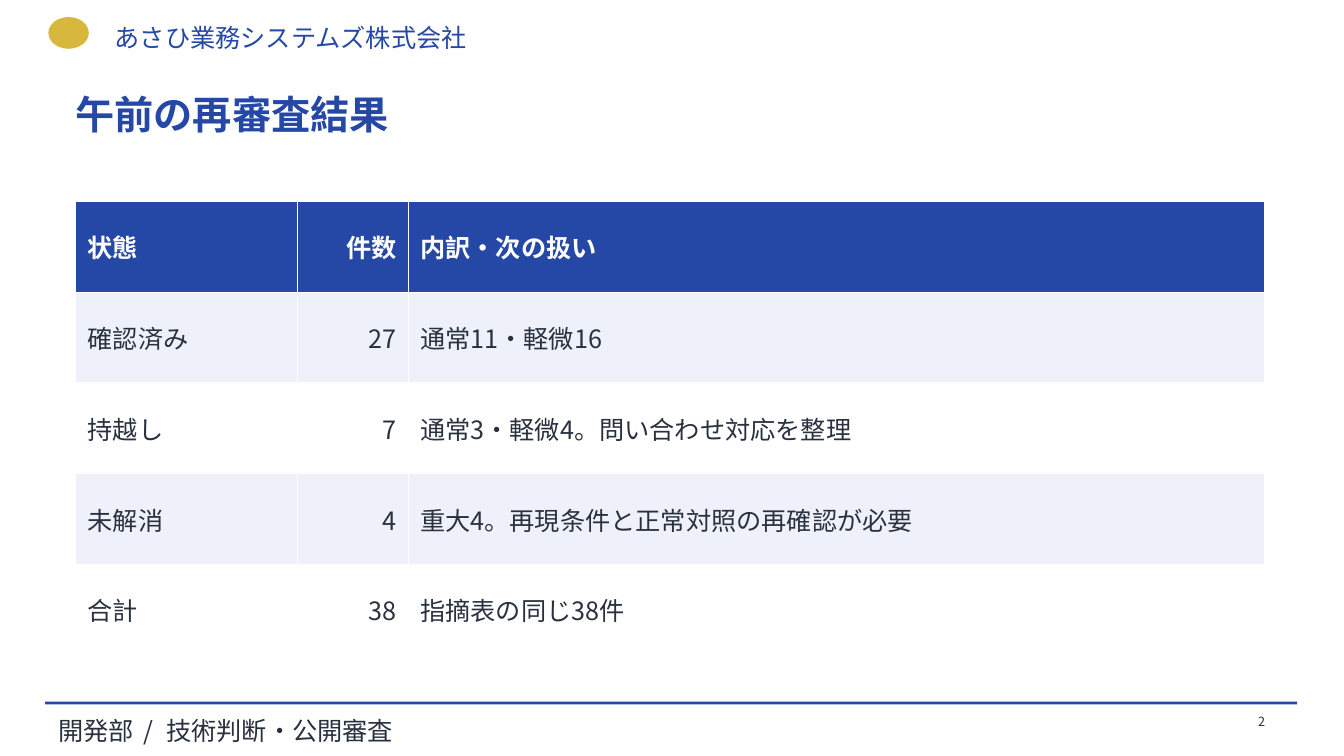
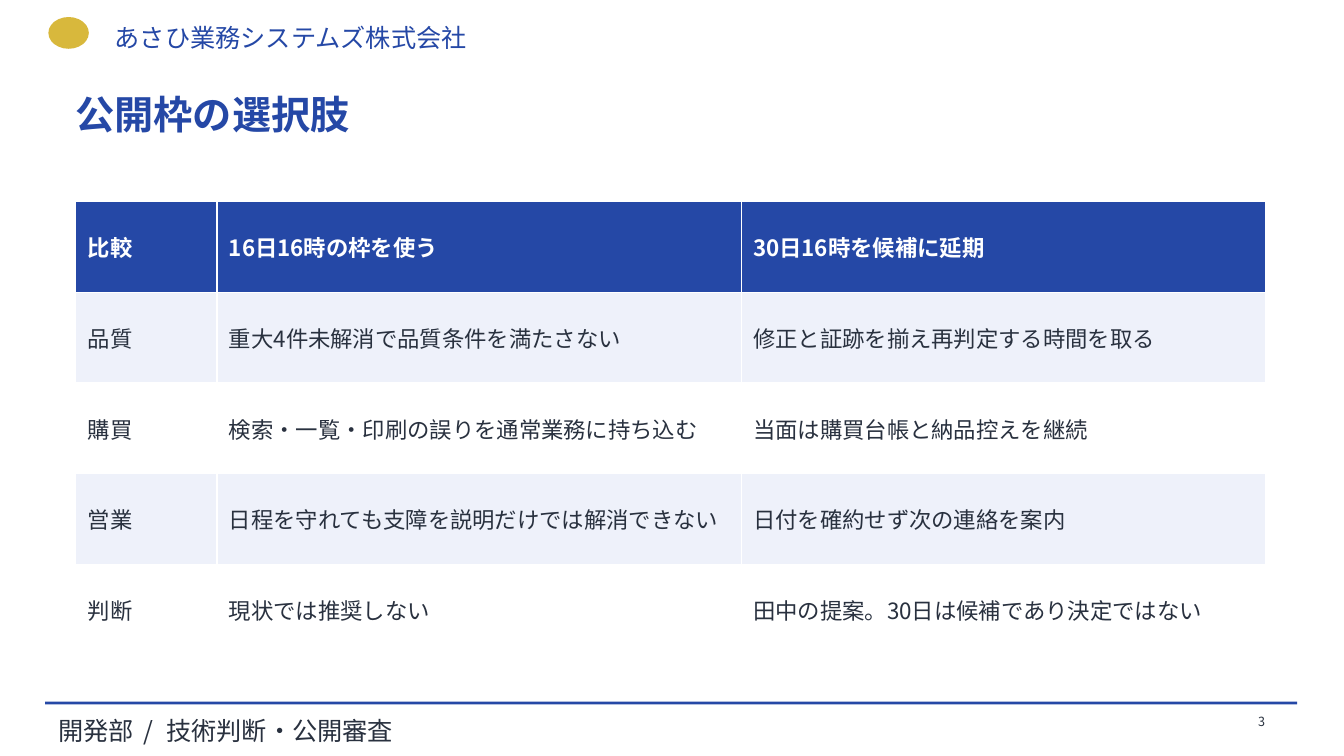
"""Build the review result and release option slides."""
from lxml import etree
from pptx import Presentation
from pptx.dml.color import RGBColor
from pptx.enum.shapes import MSO_SHAPE, PP_PLACEHOLDER
from pptx.enum.text import MSO_ANCHOR, MSO_AUTO_SIZE, PP_ALIGN
from pptx.oxml.ns import qn
from pptx.util import Cm, Pt

RECTANGLE, OVAL = MSO_SHAPE.RECTANGLE, MSO_SHAPE.OVAL
TITLE = PP_PLACEHOLDER.TITLE
TOP, MIDDLE = MSO_ANCHOR.TOP, MSO_ANCHOR.MIDDLE
LEFT, RIGHT = PP_ALIGN.LEFT, PP_ALIGN.RIGHT
NO_AUTOFIT = MSO_AUTO_SIZE.NONE

FONT = "Noto Sans CJK JP"
COLORS = {
    "blue": "2548A6",
    "gold": "D8B83C",
    "ink": "29313F",
    "band": "EEF1FA",
    "white": "FFFFFF",
}
ROW_HEIGHT = 2.286
FIRST_PAGE = 2

SLIDES = [
    {
        "title": "午前の再審査結果",
        "size": 18,
        "widths": [5.59, 2.79, 21.59],
        "aligns": [LEFT, RIGHT, LEFT],
        "rows": [
            ["状態", "件数", "内訳・次の扱い"],
            ["確認済み", "27", "通常11・軽微16"],
            ["持越し", "7", "通常3・軽微4。問い合わせ対応を整理"],
            ["未解消", "4", "重大4。再現条件と正常対照の再確認が必要"],
            ["合計", "38", "指摘表の同じ38件"],
        ],
    },
    {
        "title": "公開枠の選択肢",
        "size": 16,
        "widths": [3.56, 13.21, 13.21],
        "aligns": [LEFT, LEFT, LEFT],
        "rows": [
            ["比較", "16日16時の枠を使う", "30日16時を候補に延期"],
            ["品質", "重大4件未解消で品質条件を満たさない", "修正と証跡を揃え再判定する時間を取る"],
            ["購買", "検索・一覧・印刷の誤りを通常業務に持ち込む", "当面は購買台帳と納品控えを継続"],
            ["営業", "日程を守れても支障を説明だけでは解消できない", "日付を確約せず次の連絡を案内"],
            ["判断", "現状では推奨しない", "田中の提案。30日は候補であり決定ではない"],
        ],
    },
]


def rgb(name):
    """Return the named colour."""
    return RGBColor.from_string(COLORS[name])


def add_run(paragraph, text, size, color, bold=False, spacing=0):
    """Append one formatted run, with letter spacing in points."""
    run = paragraph.add_run()
    run.text = text
    font = run.font
    font.name, font.size, font.bold = FONT, Pt(size), bold
    font.color.rgb = rgb(color)
    properties = run.font.language_id is None or run._r.get_or_add_rPr()
    properties = run._r.get_or_add_rPr()
    east_asian = etree.Element(qn("a:ea"), typeface=FONT)
    properties.find(qn("a:latin")).addnext(east_asian)
    if spacing:
        properties.set("spc", str(round(spacing * 100)))


def add_label(slide, left, top, width, height, wrap=False, align=LEFT):
    """Add an empty text box and return it with its first paragraph."""
    label = slide.shapes.add_textbox(Cm(left), Cm(top), Cm(width), Cm(height))
    label.text_frame.word_wrap = wrap
    label.text_frame.vertical_anchor = TOP
    paragraph = label.text_frame.paragraphs[0]
    paragraph.alignment = align
    return label, paragraph


def add_block(slide, preset, left, top, width, height, color):
    """Add a plain filled shape."""
    block = slide.shapes.add_shape(preset, Cm(left), Cm(top), Cm(width), Cm(height))
    block.shadow.inherit = False
    block.fill.solid()
    block.fill.fore_color.rgb = rgb(color)
    block.line.fill.background()
    return block


def prepare_layout(layout):
    """Keep only the title placeholder on the layout."""
    for placeholder in list(layout.placeholders):
        if placeholder.placeholder_format.type != TITLE:
            placeholder.element.getparent().remove(placeholder.element)


def move_frame_to_layout(slide):
    """Draw the shared header and footer and hand them to the layout."""
    emblem = add_block(slide, OVAL, 1.22, 0.43, 1.02, 0.8, "gold")
    company, company_line = add_label(slide, 2.64, 0.43, 17.78, 0.86)
    add_run(company_line, "あさひ業務システムズ株式会社", 18, "blue")
    footer_rule = add_block(slide, RECTANGLE, 1.14, 17.68, 31.55, 0.07, "blue")
    footer, footer_line = add_label(slide, 1.22, 17.91, 25.4, 0.66)
    add_run(footer_line, "開発部", 18, "ink")
    add_run(footer_line, " / ", 18, "ink", spacing=2.7)
    add_run(footer_line, "技術判断・公開審査", 18, "ink")
    tree = slide.slide_layout.element.cSld.spTree
    for part in (emblem, company, footer_rule, footer):
        tree.append(part.element)


def set_title(slide, text):
    """Place and format the slide title."""
    title = slide.shapes.title
    title.left, title.top = Cm(1.65), Cm(2.16)
    title.width, title.height = Cm(30.48), Cm(2.54)
    frame = title.text_frame
    frame.auto_size, frame.vertical_anchor = NO_AUTOFIT, TOP
    frame.word_wrap = True
    frame.paragraphs[0].alignment = LEFT
    add_run(frame.paragraphs[0], text, 28, "blue", bold=True)


def fill_cell(cell, text, size, align, row_index):
    """Write one table cell, styled by its row."""
    header = row_index == 0
    background = "blue" if header else "band" if row_index % 2 else "white"
    cell.fill.solid()
    cell.fill.fore_color.rgb = rgb(background)
    cell.vertical_anchor = MIDDLE
    cell.margin_left = cell.margin_right = Cm(0.3)
    cell.margin_top = cell.margin_bottom = Cm(0.13)
    paragraph = cell.text_frame.paragraphs[0]
    paragraph.alignment = align
    add_run(paragraph, text, size, "white" if header else "ink", bold=header)


def add_grid(slide, rows, widths, aligns, size):
    """Add the table with a blue header and banded rows."""
    frame = slide.shapes.add_table(
        len(rows), len(widths), Cm(1.91), Cm(5.08),
        Cm(sum(widths)), Cm(ROW_HEIGHT * len(rows)))
    grid = frame.table
    for column, width in zip(grid.columns, widths):
        column.width = Cm(width)
    for row_index, texts in enumerate(rows):
        for column_index, text in enumerate(texts):
            fill_cell(grid.cell(row_index, column_index), text, size,
                      aligns[column_index], row_index)


def add_page_number(slide, number):
    """Add the page number at the lower right."""
    _, paragraph = add_label(slide, 30.61, 17.86, 1.52, 0.76, True, RIGHT)
    add_run(paragraph, str(number), 9, "ink")


def main():
    """Build and save the presentation."""
    deck = Presentation()
    deck.slide_width, deck.slide_height = Cm(33.87), Cm(19.05)
    layout = deck.slide_layouts[5]
    prepare_layout(layout)
    for page, content in enumerate(SLIDES, FIRST_PAGE):
        slide = deck.slides.add_slide(layout)
        if page == FIRST_PAGE:
            move_frame_to_layout(slide)
        set_title(slide, content["title"])
        add_grid(slide, content["rows"], content["widths"],
                 content["aligns"], content["size"])
        add_page_number(slide, page)
    deck.save("out.pptx")


if __name__ == "__main__":
    main()
